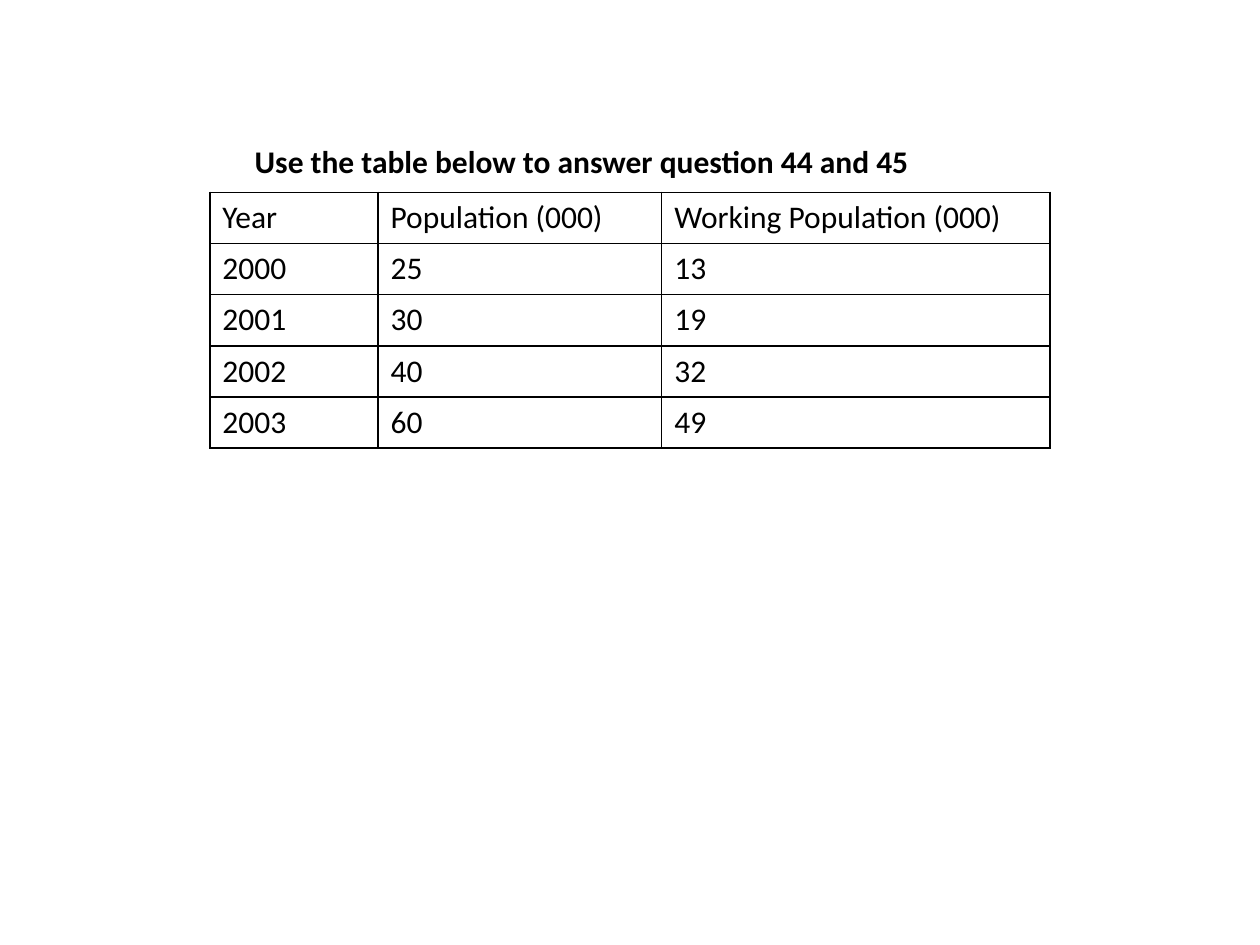
from dataclasses import dataclass
from lxml import etree
from pptx import Presentation
from pptx import util as u
from pptx.dml.color import RGBColor
from pptx.enum import text
from pptx.oxml.ns import qn

TITLE = "Use the table below to answer question 44 and 45"
ROWS = [
    ("Year", "Population (000)", "Working Population (000)"),
    ("2000", "25", "13"),
    ("2001", "30", "19"),
    ("2002", "40", "32"),
    ("2003", "60", "49"),
]
TITLE_BOX = (4.88, 2.74, 13.97, 1.02)
TABLE_LEFT, TABLE_TOP = 4.23, 3.88
COL_WIDTHS = (3.39, 5.72, 7.83)
ROW_HEIGHT = 1.03


@dataclass
class Theme:
    font: str = "Calibri"
    size: int = 18
    ink: str = "000000"
    paper: str = "FFFFFF"
    border: int = 1


theme = Theme()


def style(p, bold=False):
    for r in p.runs:
        r.font.name = theme.font
        r.font.size = u.Pt(theme.size)
        r.font.bold = bold
        r.font.color.rgb = RGBColor.from_string(theme.ink)


def add_borders(cell):
    tcPr = cell._tc.get_or_add_tcPr()
    for side in ("lnL", "lnR", "lnT", "lnB"):
        ln = etree.SubElement(tcPr, qn("a:" + side), w=str(u.Pt(theme.border)))
        fill = etree.SubElement(ln, qn("a:solidFill"))
        etree.SubElement(fill, qn("a:srgbClr"), val=theme.ink)


def add_title(s):
    sp = s.shapes.title
    sp.left, sp.top, sp.width, sp.height = map(u.Cm, TITLE_BOX)
    tf = sp.text_frame
    tf.text = TITLE
    tf.word_wrap = False
    tf.auto_size = text.MSO_AUTO_SIZE.NONE
    tf.vertical_anchor = text.MSO_ANCHOR.TOP
    p = tf.paragraphs[0]
    p.alignment = text.PP_ALIGN.LEFT
    style(p, bold=True)


def add_population_table(s):
    box = (TABLE_LEFT, TABLE_TOP, sum(COL_WIDTHS), ROW_HEIGHT * len(ROWS))
    table = s.shapes.add_table(len(ROWS), len(COL_WIDTHS), *map(u.Cm, box)).table
    table.first_row = table.horz_banding = False
    for col, width in zip(table.columns, COL_WIDTHS):
        col.width = u.Cm(width)
    for row, values in zip(table.rows, ROWS):
        row.height = u.Cm(ROW_HEIGHT)
        for cell, value in zip(row.cells, values):
            cell.text_frame.text = value
            style(cell.text_frame.paragraphs[0])
            add_borders(cell)
            cell.fill.solid()
            cell.fill.fore_color.rgb = RGBColor.from_string(theme.paper)


def main():
    prs = Presentation()
    prs.slide_width, prs.slide_height = u.Cm(25.4), u.Cm(19.05)
    s = prs.slides.add_slide(prs.slide_layouts[5])
    add_population_table(s)
    add_title(s)
    prs.save("out.pptx")


if __name__ == "__main__":
    main()
